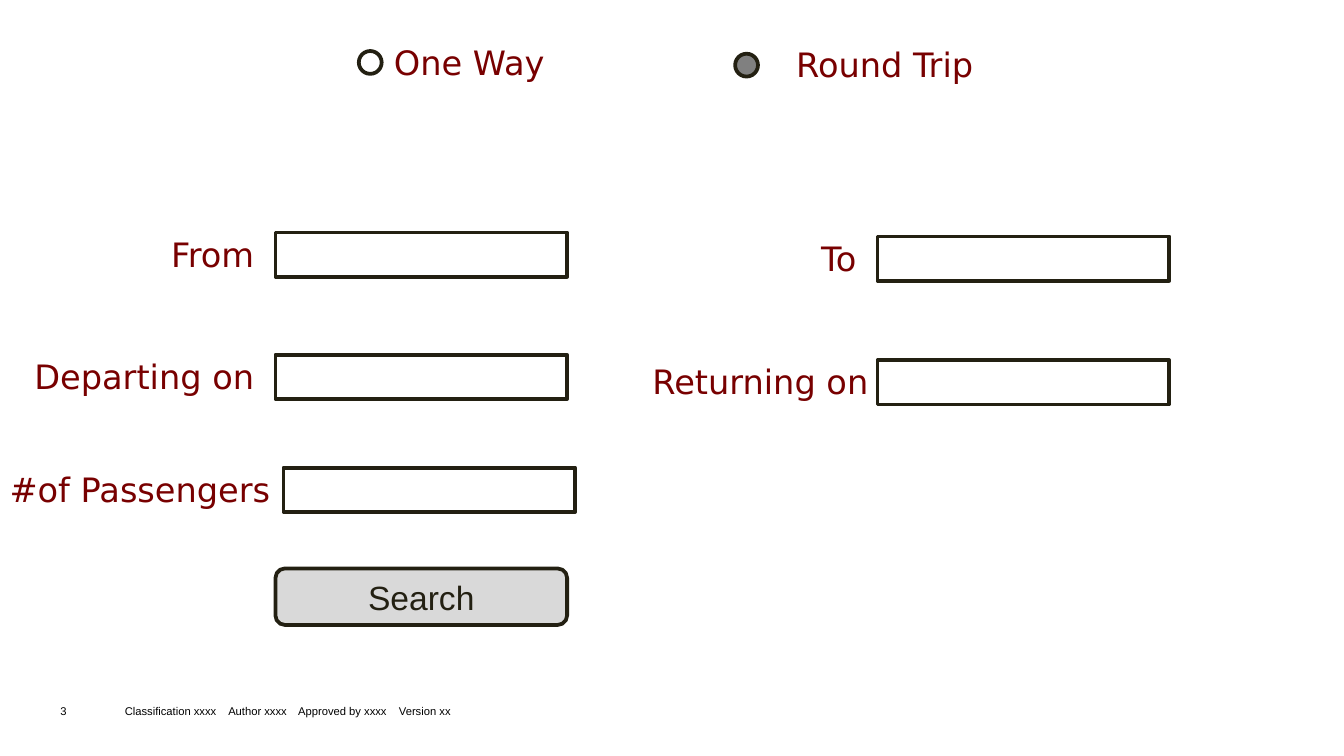
from lxml import etree
from pptx import Presentation
from pptx.dml.color import RGBColor
from pptx.enum.shapes import MSO_SHAPE
from pptx.enum.text import MSO_ANCHOR, PP_ALIGN
from pptx.oxml.ns import qn
from pptx.util import Inches, Pt

INK, LABEL, BUTTON, SELECTED = "232012", "780000", "D9D9D9", "808080"
FIELD_WIDTH, FIELD_HEIGHT = 2.17, 0.33
LABEL_HEIGHT = 0.4


def color(value):
    return RGBColor.from_string(value)


def write(frame, text, size=18, font="DejaVu Sans", ink=LABEL,
          align=PP_ALIGN.RIGHT, anchor=MSO_ANCHOR.TOP, tabs=()):
    frame.word_wrap = True
    frame.vertical_anchor = anchor
    paragraph = frame.paragraphs[0]
    paragraph.text = text
    paragraph.alignment = align
    if tabs:
        tab_list = etree.SubElement(paragraph._p.get_or_add_pPr(), qn("a:tabLst"))
        for position in tabs:
            etree.SubElement(tab_list, qn("a:tab"), pos=str(Inches(position)), algn="l")
    paragraph.font.size = Pt(size)
    paragraph.font.name = font
    paragraph.font.color.rgb = color(ink)


def add_text(slide, text, left, top, width, height=LABEL_HEIGHT, **style):
    box = slide.shapes.add_textbox(Inches(left), Inches(top), Inches(width), Inches(height))
    write(box.text_frame, text, **style)


def add_outlined(slide, kind, left, top, width, height, fill=None):
    shape = slide.shapes.add_shape(
        kind, Inches(left), Inches(top), Inches(width), Inches(height))
    shape.shadow.inherit = False
    if fill:
        shape.fill.solid()
        shape.fill.fore_color.rgb = color(fill)
    else:
        shape.fill.background()
    shape.line.color.rgb = color(INK)
    shape.line.width = Pt(2)
    return shape


def add_field(slide, label, left, top, label_left, label_right):
    add_outlined(slide, MSO_SHAPE.RECTANGLE, left, top, FIELD_WIDTH, FIELD_HEIGHT)
    add_text(slide, label, label_left, top - 0.04, label_right - label_left)


def add_option(slide, label, left, top, label_left, label_width, fill=None):
    add_outlined(slide, MSO_SHAPE.OVAL, left, top, 0.17, 0.17, fill)
    add_text(slide, label, label_left, top - 0.12, label_width)


def add_button(slide, label, left, top):
    button = add_outlined(
        slide, MSO_SHAPE.ROUNDED_RECTANGLE, left, top, FIELD_WIDTH, 0.42, BUTTON)
    write(button.text_frame, label, font="Arial", ink=INK,
          align=PP_ALIGN.CENTER, anchor=MSO_ANCHOR.MIDDLE)


def add_footer(slide, text, left, width, tabs=()):
    add_text(slide, text, left, 5.14, width, 0.3, size=6, font="Arial", ink="000000",
             align=PP_ALIGN.LEFT, anchor=MSO_ANCHOR.MIDDLE, tabs=tabs)


def main():
    deck = Presentation()
    deck.slide_width = Inches(10)
    deck.slide_height = deck.slide_width * 9 // 16
    slide = deck.slides.add_slide(deck.slide_layouts[6])

    # Footer
    add_footer(slide, "Classification xxxx\tAuthor xxxx\tApproved by xxxx\tVersion xx",
               0.83, 4.41, tabs=(0.77, 1.29, 2.04))
    add_footer(slide, "3", 0.35, 0.55)

    # Trip type
    add_option(slide, "One Way", 2.67, 0.38, 2.67, 1.48)
    add_option(slide, "Round Trip", 5.47, 0.4, 5.57, 1.77, SELECTED)

    # Search form: label, field left and top, label left and right
    for field in (
        ("From", 2.05, 1.73, 1.08, 1.99),
        ("To", 6.53, 1.76, 4.97, 6.47),
        ("Departing on", 2.05, 2.64, 0.1, 1.99),
        ("Returning on", 6.53, 2.68, 4.58, 6.56),
        ("#of Passengers", 2.11, 3.48, -0.14, 2.11),
    ):
        add_field(slide, *field)
    add_button(slide, "Search", 2.05, 4.23)

    deck.save("out.pptx")


if __name__ == "__main__":
    main()
